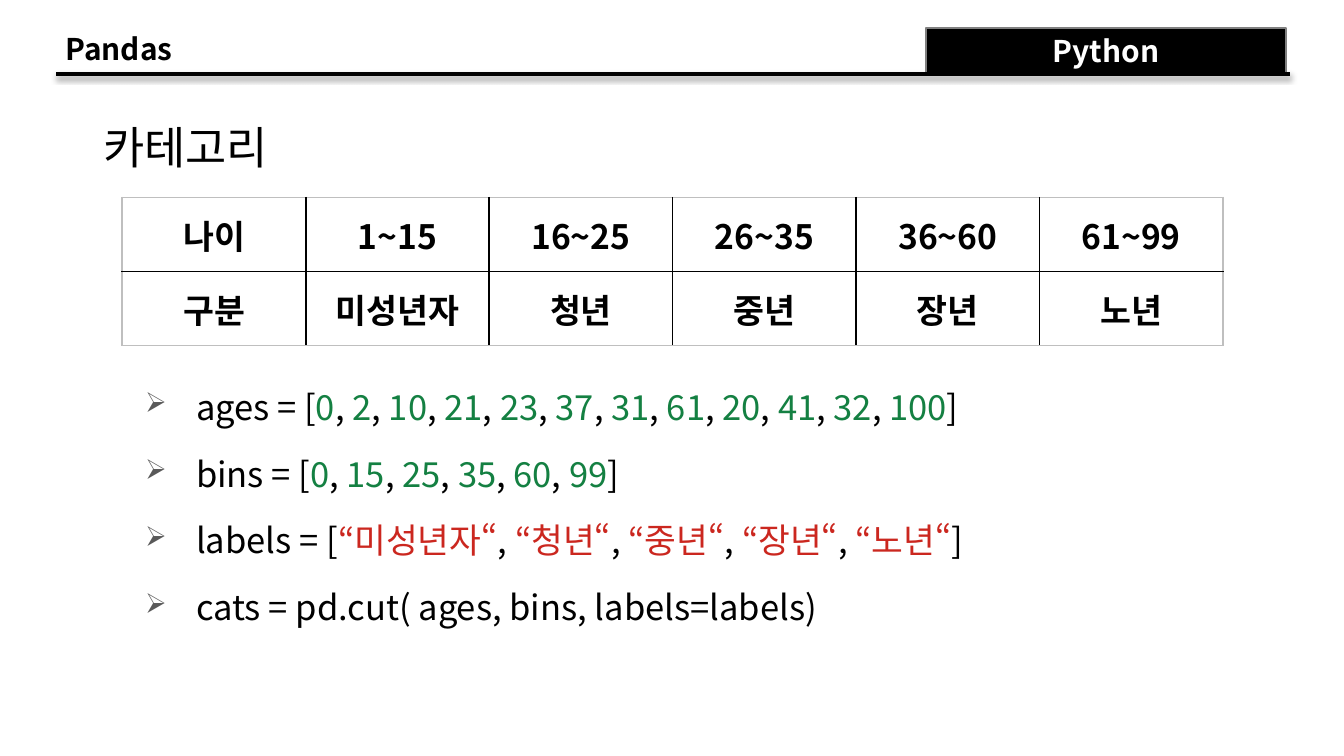
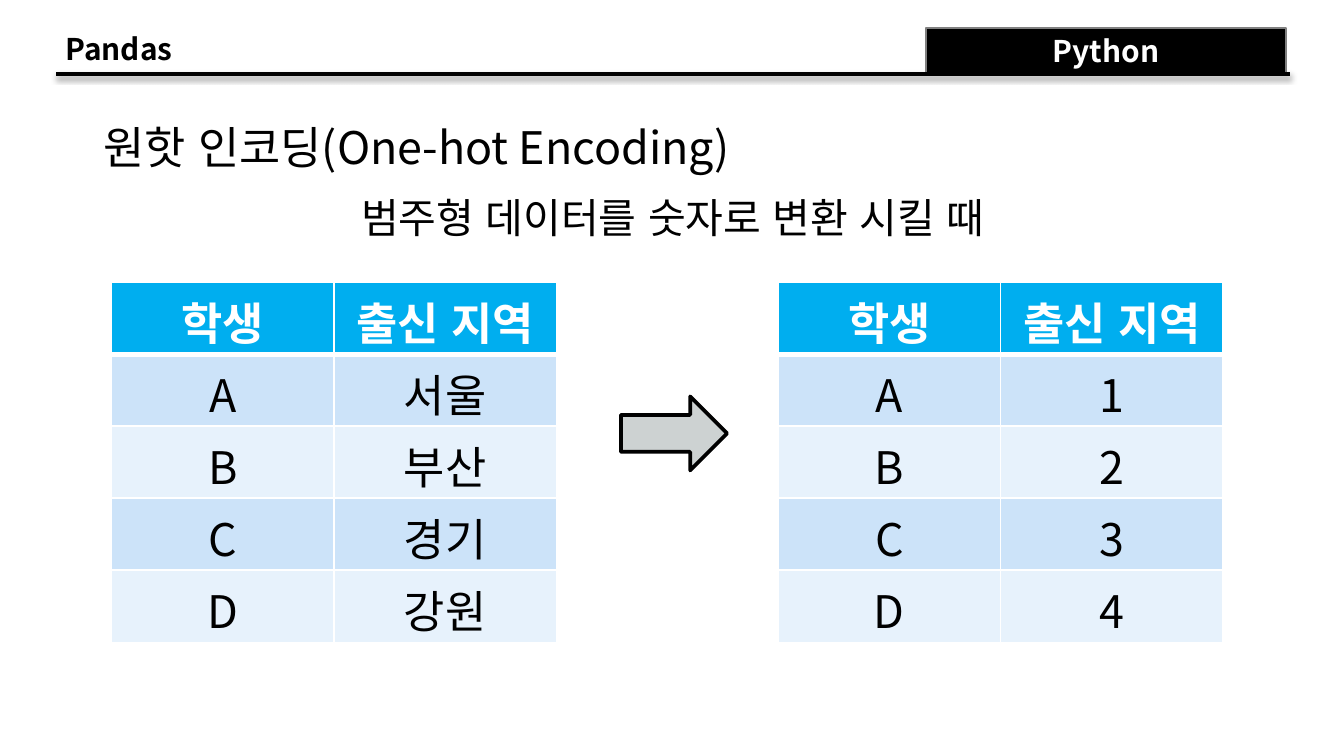
from dataclasses import dataclass

import lxml.etree
import pptx
import pptx.dml.color
import pptx.enum.shapes
import pptx.enum.text
import pptx.oxml
import pptx.oxml.ns
import pptx.util

PX = 9144  # EMU per px, 100 px to the inch
PAGE_WIDTH = 1000 * PX
PAGE_HEIGHT = PAGE_WIDTH * 9 // 16
FONT = "Noto Sans CJK KR"
COLORS = {
    "black": "000000", "white": "FFFFFF", "gray": "808080", "edge": "BFBFBF",
    "bullet": "595959", "number": "148042", "string": "CB271F", "arrow": "CDD2D2",
    "header": "00AEEF", "band_dark": "CCE3F9", "band_light": "E7F2FC",
}
ALIGN = pptx.enum.text.PP_ALIGN
ANCHOR = pptx.enum.text.MSO_ANCHOR
SHAPE = pptx.enum.shapes.MSO_SHAPE


@dataclass(frozen=True)
class Box:
    left: int
    top: int
    width: int
    height: int

    def emu(self) -> list[int]:
        return [value * PX for value in (self.left, self.top, self.width, self.height)]


@dataclass(frozen=True)
class Style:
    size: float
    color: str = "black"
    bold: bool = False


@dataclass(frozen=True)
class Label:
    box: Box
    style: Style
    align: ALIGN = ALIGN.LEFT
    insets: tuple[int, int, int, int] = (10, 5, 10, 5)


@dataclass(frozen=True)
class CodeLine:
    opening: str
    values: tuple[str, ...] = ()
    color: str = "black"
    closing: str = ""

    def spans(self) -> list[tuple[str, str]]:
        spans = [(self.opening, "black")]
        for index, value in enumerate(self.values):
            if index:
                spans.append((", ", "black"))
            spans.append((value, self.color))
        if self.closing:
            spans.append((self.closing, "black"))
        return spans


@dataclass(frozen=True)
class TableLook:
    header: Style
    body: Style
    fills: tuple[str, ...]  # header fill, then the alternating bands
    inner: str
    outer: str
    header_rule: int
    anchor: ANCHOR
    margins: tuple[int, int]  # top, bottom


SECTION = Label(Box(39, 18, 458, 37), Style(16, bold=True))
TITLE = Label(Box(67, 84, 795, 50), Style(24))
SUBTITLE = Label(Box(100, 140, 801, 47), Style(22), ALIGN.CENTER, (8, 3, 8, 4))
CODE = Label(Box(100, 289, 833, 189), Style(18.5), insets=(8, 4, 8, 4))

GRID_LOOK = TableLook(Style(18, bold=True), Style(18, bold=True), (),
                      "black", "edge", 1, ANCHOR.MIDDLE, (5, 5))
BAND_LOOK = TableLook(Style(24, "white", True), Style(24),
                      ("header", "band_dark", "band_light"),
                      "white", "white", 3, ANCHOR.TOP, (5, 0))

AGE_GROUPS = [
    ["나이", "1~15", "16~25", "26~35", "36~60", "61~99"],
    ["구분", "미성년자", "청년", "중년", "장년", "노년"],
]
CODE_LINES = [
    CodeLine("ages = [", ("0", "2", "10", "21", "23", "37", "31", "61", "20", "41", "32", "100"),
             "number", "]"),
    CodeLine("bins = [", ("0", "15", "25", "35", "60", "99"), "number", "]"),
    CodeLine("labels = [", tuple(f"“{name}“" for name in AGE_GROUPS[1][1:]), "string", "]"),
    CodeLine("cats = pd.cut( ages, bins, labels=labels)"),
]
STUDENT_HEADER = ["학생", "출신 지역"]
REGIONS = ["서울", "부산", "경기", "강원"]


def rgb(name: str) -> pptx.dml.color.RGBColor:
    return pptx.dml.color.RGBColor.from_string(COLORS[name])


def add_xml(parent, markup: str, index: int | None = None) -> None:
    namespace = pptx.oxml.ns.nsdecls("a")
    element = pptx.oxml.parse_xml(markup.replace(" ", f" {namespace} ", 1))
    parent.insert(len(parent) if index is None else index, element)


def format_paragraph(para, style: Style, align: ALIGN) -> None:
    para.alignment = align
    for run in para.runs:
        format_run(run, style)


def format_run(run, style: Style, color: str | None = None) -> None:
    run.font.size = pptx.util.Pt(style.size)
    run.font.bold = style.bold
    run.font.color.rgb = rgb(color or style.color)
    run.font.name = FONT
    run.font._element.set("lang", "ko-KR")
    add_xml(run.font._element, f'<a:ea typeface="{FONT}"/>')


def add_frame(slide, label: Label):
    frame = slide.shapes.add_textbox(*label.box.emu()).text_frame
    frame.word_wrap = True
    frame.margin_left, frame.margin_top, frame.margin_right, frame.margin_bottom = (
        inset * PX for inset in label.insets)
    return frame


def add_label(slide, label: Label, text: str) -> None:
    frame = add_frame(slide, label)
    frame.text = text
    format_paragraph(frame.paragraphs[0], label.style, label.align)


def add_block(slide, kind: SHAPE, box: Box, fill: str, line: str, width: int):
    shape = slide.shapes.add_shape(kind, *box.emu())
    shape.shadow.inherit = False
    shape.fill.solid()
    shape.fill.fore_color.rgb = rgb(fill)
    shape.line.color.rgb = rgb(line)
    shape.line.width = pptx.util.Pt(width)
    return shape


def add_header(slide) -> None:
    add_label(slide, SECTION, "Pandas")
    tab = add_block(slide, SHAPE.RECTANGLE, Box(689, 21, 268, 34), "black", "gray", 1)
    tab.text_frame.text = "Python"
    tab.text_frame.vertical_anchor = ANCHOR.MIDDLE
    format_paragraph(tab.text_frame.paragraphs[0], Style(16, "white", True), ALIGN.CENTER)

    # Rule with a soft shadow below it
    rule = slide.shapes.add_connector(pptx.enum.shapes.MSO_CONNECTOR.STRAIGHT,
                                      42 * PX, 55 * PX, 960 * PX, 55 * PX)
    rule.line.color.rgb = rgb("black")
    rule.line.width = pptx.util.Pt(2)
    blur, distance = pptx.util.Pt(3.1), pptx.util.Pt(1.6)
    add_xml(rule._element.spPr,
            f'<a:effectLst ><a:outerShdw blurRad="{blur}" dist="{distance}" dir="5400000" '
            f'rotWithShape="0"><a:srgbClr val="{COLORS["black"]}"><a:alpha val="38000"/>'
            '</a:srgbClr></a:outerShdw></a:effectLst>')


def add_code(slide, lines: list[CodeLine]) -> None:
    frame = add_frame(slide, CODE)
    for index, line in enumerate(lines):
        para = frame.add_paragraph() if index else frame.paragraphs[0]
        para.line_spacing = 0.8
        para.space_after = pptx.util.Pt(18)
        for text, color in line.spans():
            run = para.add_run()
            run.text = text
            format_run(run, CODE.style, color)
        properties = para._p.get_or_add_pPr()
        properties.set("marL", str(38 * PX))
        properties.set("indent", str(-38 * PX))
        add_xml(properties, f'<a:buClr ><a:srgbClr val="{COLORS["bullet"]}"/></a:buClr>')
        add_xml(properties, '<a:buSzPct val="80000"/>')
        add_xml(properties, '<a:buChar char="➢"/>')


def set_borders(cell, borders: list[tuple[str, str, int]]) -> None:
    properties = cell._tc.get_or_add_tcPr()
    for index, (side, color, width) in enumerate(borders):
        add_xml(properties,
                f'<a:ln{side} w="{pptx.util.Pt(width)}"><a:solidFill>'
                f'<a:srgbClr val="{COLORS[color]}"/></a:solidFill></a:ln{side}>', index)


def add_table(slide, box: Box, rows: list[list[str]], look: TableLook) -> None:
    last_row, last_column = len(rows) - 1, len(rows[0]) - 1
    table = slide.shapes.add_table(len(rows), len(rows[0]), *box.emu()).table
    table.first_row = table.horz_banding = False
    for row, texts in enumerate(rows):
        for column, text in enumerate(texts):
            cell = table.cell(row, column)
            cell.text = text
            cell.vertical_anchor = look.anchor
            cell.margin_top, cell.margin_bottom = (margin * PX for margin in look.margins)
            format_paragraph(cell.text_frame.paragraphs[0],
                             look.body if row else look.header, ALIGN.CENTER)
            if look.fills:
                cell.fill.solid()
                cell.fill.fore_color.rgb = rgb(look.fills[(row - 1) % 2 + 1 if row else 0])
            else:
                cell.fill.background()
            sides = (("L", column == 0, 1),
                     ("R", column == last_column, 1),
                     ("T", row == 0, look.header_rule if row == 1 else 1),
                     ("B", row == last_row, look.header_rule if row == 0 else 1))
            set_borders(cell, [(side, look.outer if is_outer else look.inner, width)
                               for side, is_outer, width in sides])


def add_page(deck, title: str):
    page = deck.slides.add_slide(deck.slide_layouts[6])
    add_header(page)
    add_label(page, TITLE, title)
    return page


def main() -> None:
    deck = pptx.Presentation()
    deck.slide_width, deck.slide_height = PAGE_WIDTH, PAGE_HEIGHT

    # Categories
    page = add_page(deck, "카테고리")
    add_table(page, Box(91, 147, 819, 110), AGE_GROUPS, GRID_LOOK)
    add_code(page, CODE_LINES)

    # One-hot encoding: regions become numbers
    page = add_page(deck, "원핫 인코딩(One-hot Encoding)")
    add_label(page, SUBTITLE, "범주형 데이터를 숫자로 변환 시킬 때")
    codes = [str(number) for number in range(1, len(REGIONS) + 1)]
    for left, values in ((83, REGIONS), (579, codes)):
        rows = [STUDENT_HEADER, *map(list, zip("ABCD", values))]
        add_table(page, Box(left, 210, 331, 268), rows, BAND_LOOK)
    add_block(page, SHAPE.RIGHT_ARROW, Box(462, 295, 79, 55), "arrow", "black", 2)

    deck.save("out.pptx")


if __name__ == "__main__":
    main()
